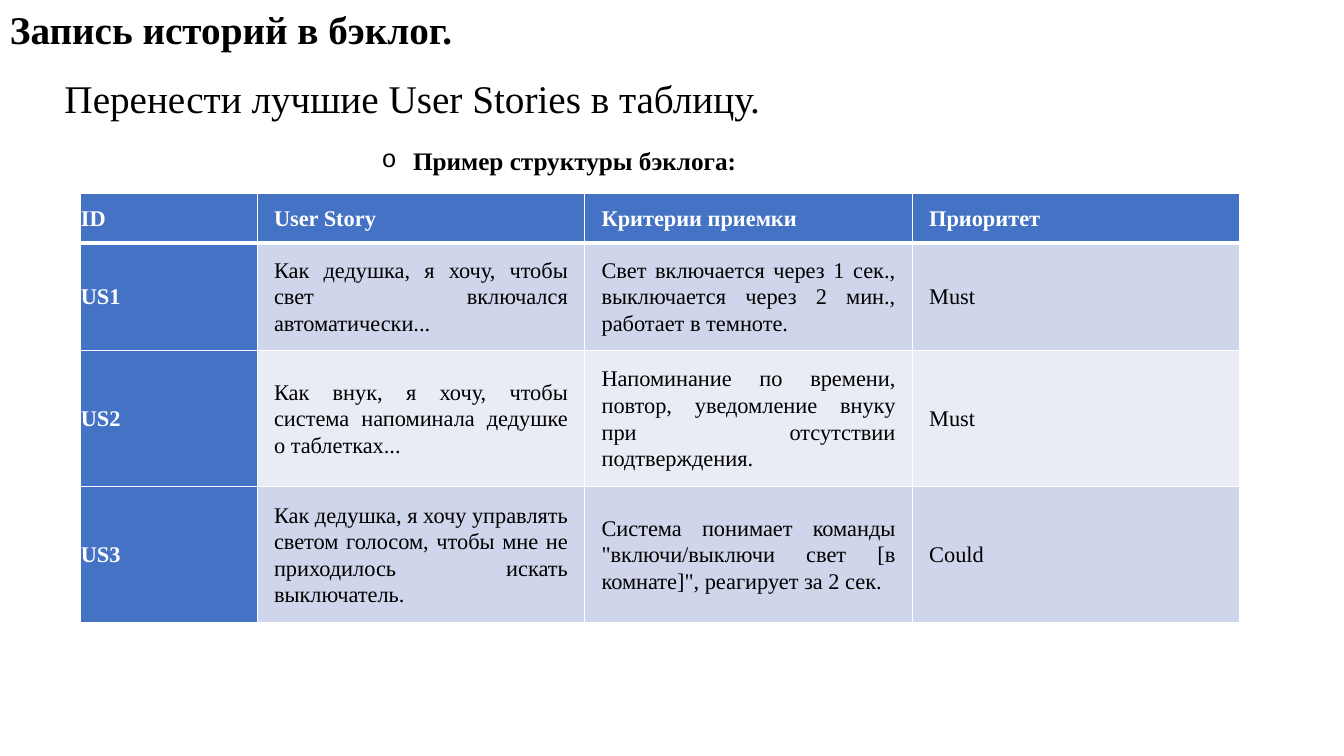
from dataclasses import dataclass

from lxml import etree
from pptx import Presentation
from pptx.dml.color import RGBColor
from pptx.enum.text import MSO_ANCHOR, MSO_AUTO_SIZE, PP_ALIGN
from pptx.oxml.ns import qn
from pptx.util import Pt

JUSTIFY = PP_ALIGN.JUSTIFY
MIDDLE = MSO_ANCHOR.MIDDLE
GROW = MSO_AUTO_SIZE.SHAPE_TO_FIT_TEXT
EMU_PER_PX = 9525


@dataclass(frozen=True)
class Theme:
    font: str = "Times New Roman"
    bullet_font: str = "Courier New"
    ink: str = "000000"
    paper: str = "FFFFFF"
    accent: str = "4472C4"
    odd_band: str = "CFD5EA"
    even_band: str = "E9EBF5"
    title_size: int = 28
    caption_size: int = 18
    cell_size: int = 16


THEME = Theme()
COLUMN_WIDTHS = [168, 312, 312, 312]
ROW_HEIGHTS = [47, 102, 130, 129]
BACKLOG = [
    ["ID", "User Story", "Критерии приемки", "Приоритет"],
    ["US1", "Как дедушка, я хочу, чтобы свет включался автоматически...",
     "Свет включается через 1 сек., выключается через 2 мин., работает в темноте.",
     "Must"],
    ["US2", "Как внук, я хочу, чтобы система напоминала дедушке о таблетках...",
     "Напоминание по времени, повтор, уведомление внуку при отсутствии подтверждения.",
     "Must"],
    ["US3", "Как дедушка, я хочу управлять светом голосом, чтобы мне не приходилось искать выключатель.",
     'Система понимает команды "включи/выключи свет [в комнате]", реагирует за 2 сек.',
     "Could"],
]


def px(length):
    return length * EMU_PER_PX


def add_span(para, text, size, color=THEME.ink, bold=False):
    span = para.add_run()
    span.text = text
    span.font.name = THEME.font
    span.font.size = Pt(size)
    span.font.bold = bold
    span.font.color.rgb = RGBColor.from_string(color)


def justify(para):
    para.alignment = JUSTIFY
    para.line_spacing = 1.07
    para.space_after = Pt(8)


def add_text(page, left, top, width, height, text, size, bold=False):
    box = page.shapes.add_textbox(px(left), px(top), px(width), px(height))
    frame = box.text_frame
    frame.word_wrap = True
    frame.auto_size = GROW
    para = frame.paragraphs[0]
    add_span(para, text, size, bold=bold)
    return para


def add_bullet(para, char, margin, indent, tab):
    para.level = 1
    properties = para._p.get_or_add_pPr()
    properties.set("marL", str(px(margin)))
    properties.set("indent", str(px(indent)))
    etree.SubElement(properties, qn("a:buFont"), typeface=THEME.bullet_font)
    etree.SubElement(properties, qn("a:buChar"), char=char)
    tabs = etree.SubElement(properties, qn("a:tabLst"))
    etree.SubElement(tabs, qn("a:tab"), pos=str(px(tab)), algn="l")


def add_border(cell, side, points):
    line = etree.SubElement(cell._tc.get_or_add_tcPr(), qn(f"a:ln{side}"), w=str(Pt(points)))
    fill = etree.SubElement(line, qn("a:solidFill"))
    etree.SubElement(fill, qn("a:srgbClr"), val=THEME.paper)


def fill_cell(cell, text, row, column):
    heading = row == 0 or column == 0
    band = THEME.odd_band if row % 2 else THEME.even_band
    cell.vertical_anchor = MIDDLE
    cell.margin_left = px(16 if column else 0)
    cell.margin_right = px(16)
    cell.margin_top = cell.margin_bottom = px(10)
    borders = {"L": 1, "R": 1, "T": 3 if row == 1 else 1, "B": 3 if row == 0 else 1}
    for side, points in borders.items():
        add_border(cell, side, points)
    cell.fill.solid()
    cell.fill.fore_color.rgb = RGBColor.from_string(THEME.accent if heading else band)
    para = cell.text_frame.paragraphs[0]
    justify(para)
    add_span(para, text, THEME.cell_size, THEME.paper if heading else THEME.ink, heading)


def add_backlog(page, left, top):
    table = page.shapes.add_table(
        len(ROW_HEIGHTS), len(COLUMN_WIDTHS), px(left), px(top),
        px(sum(COLUMN_WIDTHS)), px(sum(ROW_HEIGHTS))).table
    for column, width in zip(table.columns, COLUMN_WIDTHS):
        column.width = px(width)
    for row, height in zip(table.rows, ROW_HEIGHTS):
        row.height = px(height)
    for row, texts in enumerate(BACKLOG):
        for column, text in enumerate(texts):
            fill_cell(table.cell(row, column), text, row, column)


def main():
    deck = Presentation()
    deck.slide_width, deck.slide_height = px(1280), px(720)
    page = deck.slides.add_slide(deck.slide_layouts[6])
    add_text(page, 0, 0, 1280, 55, "Запись историй в бэклог.", THEME.title_size, bold=True)
    add_text(page, 52, 66, 1042, 55, "Перенести лучшие User Stories в таблицу.", THEME.title_size)
    add_backlog(page, 77, 184)
    caption = add_text(page, 306, 132, 646, 39, "Пример структуры бэклога:",
                       THEME.caption_size, bold=True)
    justify(caption)
    add_bullet(caption, "o", 78, -30, 96)
    deck.save("out.pptx")


if __name__ == "__main__":
    main()
